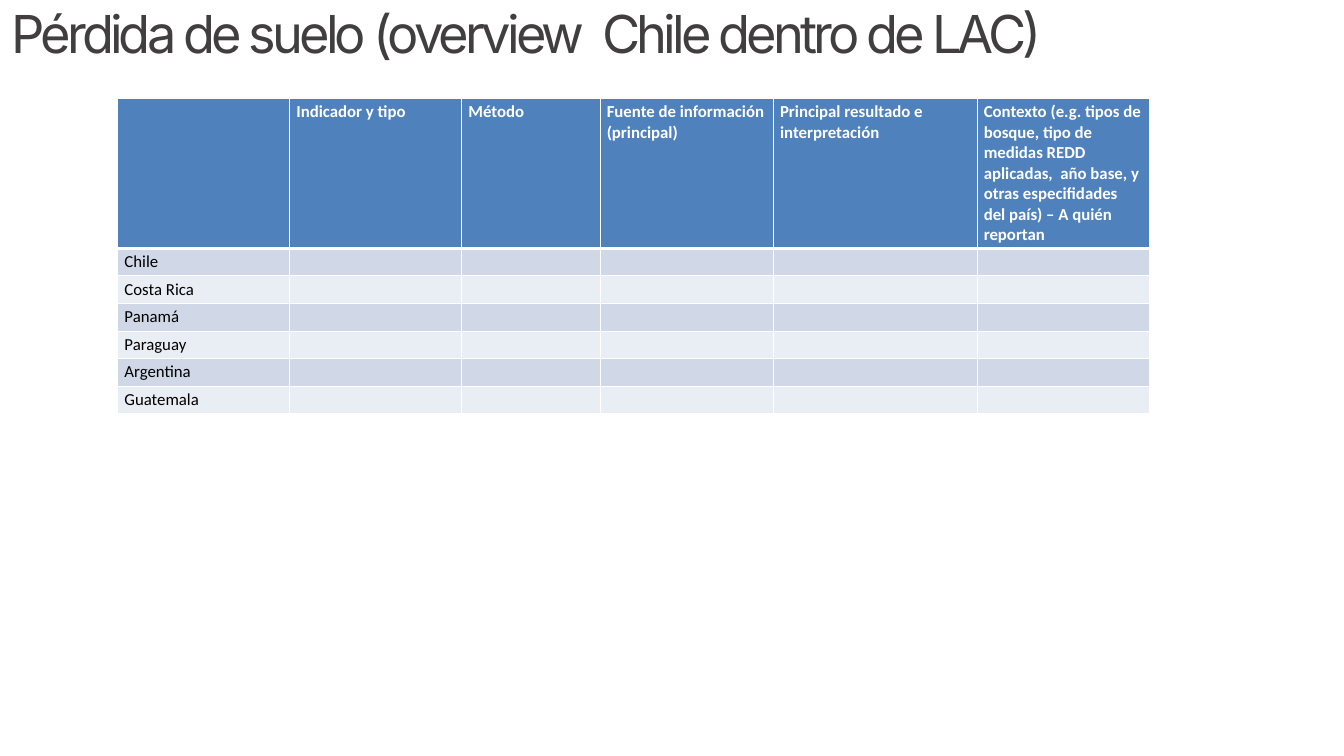
from lxml import etree
from pptx import Presentation
from pptx.dml.color import RGBColor
from pptx.enum import text
from pptx.oxml.ns import qn
from pptx.util import Cm, Pt

HEADINGS = [
    "",
    "Indicador y tipo",
    "Método",
    "Fuente de información (principal)",
    "Principal resultado e interpretación",
    "Contexto (e.g. tipos de bosque, tipo de medidas REDD aplicadas,  año base, "
    "y otras especifidades del país) – A quién reportan",
]
COUNTRIES = ["Chile", "Costa Rica", "Panamá", "Paraguay", "Argentina", "Guatemala"]
COLUMN_WIDTHS = [6.5, 6.5, 5.23, 6.55, 7.7, 6.5]
HEADER_HEIGHT, ROW_HEIGHT = 5.64, 1.04
HEADER_FILL, BAND_FILLS = "4F81BD", ["D0D8E8", "E9EDF4"]
WHITE, BLACK, CHARCOAL = "FFFFFF", "000000", "403E3E"


def color(value):
    return RGBColor.from_string(value)


def write(frame, words, font="Calibri", size=18, ink=BLACK, bold=False,
          leading=None, tracking=None):
    para = frame.paragraphs[0]
    if leading:
        para.line_spacing = Pt(leading)
    para.font.size = Pt(size)
    if not words:
        return
    span = para.add_run()
    span.text = words
    span.font.name = font
    span.font.size = Pt(size)
    span.font.bold = bold
    span.font.color.rgb = color(ink)
    if tracking:
        span.font._element.set("spc", str(round(tracking * 100)))


def set_borders(cell, top=1, bottom=1):
    properties = cell._tc.get_or_add_tcPr()
    widths = {"a:lnL": 1, "a:lnR": 1, "a:lnT": top, "a:lnB": bottom}
    for position, (tag, width) in enumerate(widths.items()):
        line = etree.Element(qn(tag), w=str(Pt(width)))
        fill = etree.SubElement(line, qn("a:solidFill"))
        etree.SubElement(fill, qn("a:srgbClr"), val=WHITE)
        properties.insert(position, line)


def add_title(page, left, top, width, height):
    box = page.shapes.add_textbox(Cm(left), Cm(top), Cm(width), Cm(height))
    frame = box.text_frame
    frame.word_wrap = True
    frame.auto_size = text.MSO_AUTO_SIZE.SHAPE_TO_FIT_TEXT
    frame.margin_left = frame.margin_right = 0
    frame.margin_top = frame.margin_bottom = 0
    write(frame, "Pérdida de suelo (overview  Chile dentro de LAC)", font="Inter",
          size=56, ink=CHARCOAL, leading=47.6, tracking=-4.2)


def add_country_table(page, left, top):
    rows = [HEADINGS] + [[name] + [""] * (len(HEADINGS) - 1) for name in COUNTRIES]
    heights = [HEADER_HEIGHT] + [ROW_HEIGHT] * len(COUNTRIES)
    table = page.shapes.add_table(
        len(rows), len(HEADINGS), Cm(left), Cm(top),
        Cm(sum(COLUMN_WIDTHS)), Cm(sum(heights))).table
    for column, width in zip(table.columns, COLUMN_WIDTHS):
        column.width = Cm(width)
    for index, (words, height) in enumerate(zip(rows, heights)):
        table.rows[index].height = Cm(height)
        header = index == 0
        for cell, label in zip(table.rows[index].cells, words):
            cell.fill.solid()
            cell.fill.fore_color.rgb = color(
                HEADER_FILL if header else BAND_FILLS[(index - 1) % 2])
            set_borders(cell, top=3 if index == 1 else 1, bottom=3 if header else 1)
            write(cell.text_frame, label, ink=WHITE if header else BLACK, bold=header)


def main():
    deck = Presentation()
    deck.slide_width, deck.slide_height = Cm(50.8), Cm(28.58)
    page = deck.slides.add_slide(deck.slide_layouts[6])
    add_country_table(page, 4.45, 3.71)
    add_title(page, 0.43, 0.74, 45.52, 1.75)
    deck.save("out.pptx")


if __name__ == "__main__":
    main()
